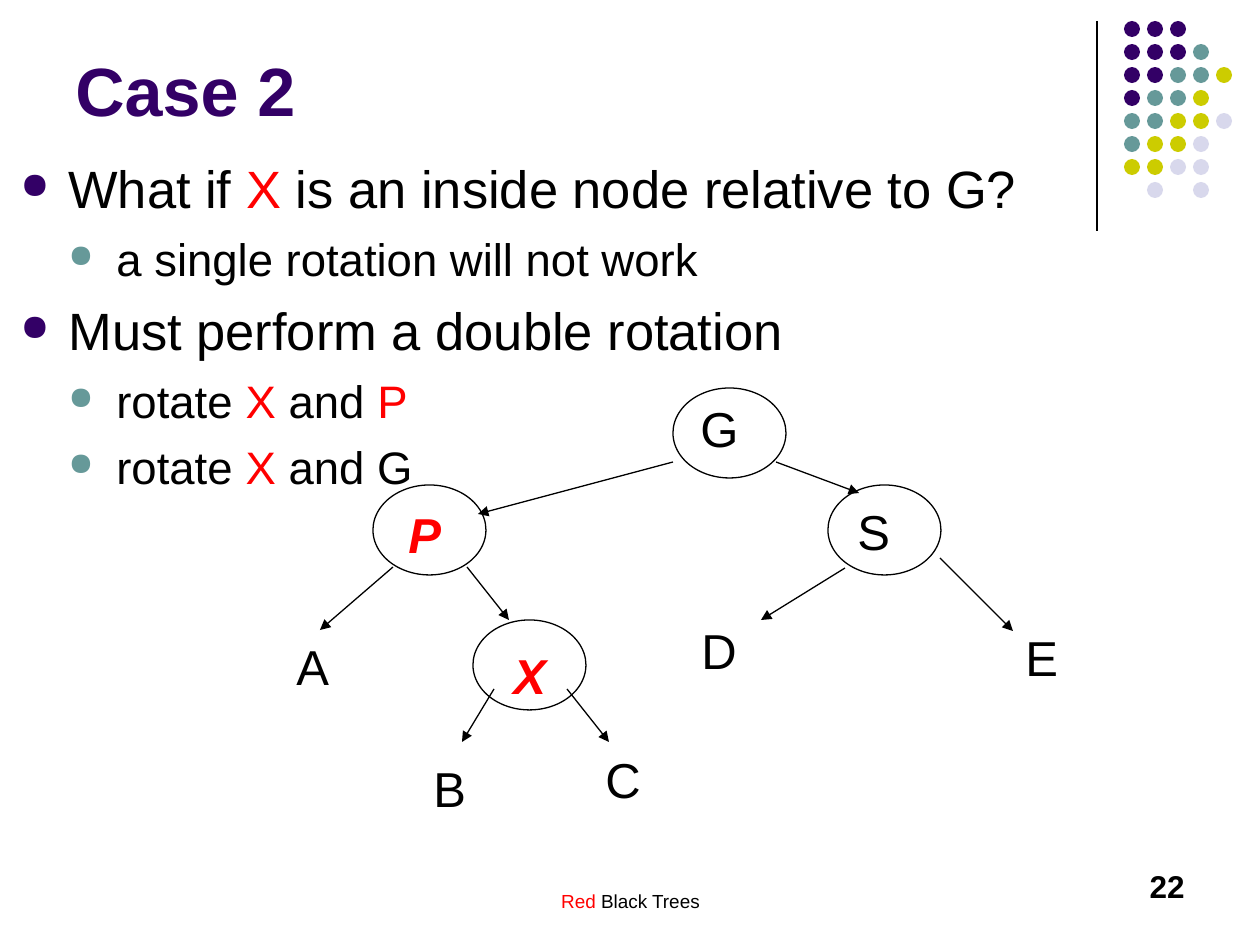
from lxml.etree import SubElement as sub
from pptx import Presentation
from pptx.dml.color import RGBColor
from pptx.enum.shapes import MSO_CONNECTOR as CONN, MSO_SHAPE as SHAPE
from pptx.enum.text import MSO_ANCHOR as ANCHOR, PP_ALIGN as ALIGN
from pptx.oxml.ns import qn
from pptx.util import Emu, Pt

BLACK, RED, PURPLE, TEAL = "000000", "FF0000", "330066", "669999"
TINTS = {"p": PURPLE, "t": TEAL, "y": "CCCC00", "l": "D8D8EC"}
DOTS = ["ppp", "pppt", "pptty", "ptty", "ttyyl", "tyyl", "yyll", " l l"]

# Each level: text size, space before, bullet colour
LEVELS = [(30, 7.5, PURPLE), (26, 6.5, TEAL)]
BODY = [
    (0, [("What if ", BLACK), ("X", RED),
         (" is an inside node relative to G?", BLACK)]),
    (1, [("a single rotation will not work", BLACK)]),
    (0, [("Must perform a double rotation", BLACK)]),
    (1, [("rotate ", BLACK), ("X", RED), (" and ", BLACK), ("P", RED)]),
    (1, [("rotate ", BLACK), ("X", RED), (" and G", BLACK)]),
]

NODES = [(673, 388), (373, 485), (828, 485), (473, 620)]
KEYS = {"G": (688, 392), "S": (845, 495), "A": (284, 630), "B": (421, 752),
        "C": (593, 743), "D": (689, 614), "E": (1013, 621)}
RED_KEYS = {"P": (396, 498), "X": (501, 639)}
EDGES = [
    (673, 462, 478, 514), (776, 462, 859, 493),
    (393, 567, 320, 630), (467, 567, 509, 620),
    (845, 568, 761, 620), (940, 558, 1013, 631),
    (494, 689, 462, 742), (567, 689, 609, 742),
]


def px(*nums):
    return [Emu(round(n * 914400 / 126)) for n in nums]


def rgb(code):
    return RGBColor.from_string(code)


def style(font, color, **form):
    font.color.rgb = rgb(color)
    for name, value in {"name": "Arial", **form}.items():
        setattr(font, name, value)


def add_runs(para, runs, **form):
    """Add (text, colour) pairs that share one format."""
    for text, color in runs:
        run = para.add_run()
        run.text = text
        style(run.font, color, **form)


def add_box(slide, at, wrap=True, anchor=ANCHOR.TOP):
    frame = slide.shapes.add_textbox(*px(*at)).text_frame
    frame.word_wrap = wrap
    frame.vertical_anchor = anchor
    return frame


def add_text(slide, at, runs, align=ALIGN.LEFT, wrap=True,
             anchor=ANCHOR.TOP, **form):
    para = add_box(slide, at, wrap, anchor).paragraphs[0]
    para.alignment = align
    add_runs(para, runs, **form)


def add_oval(slide, at, fill=None):
    """Draw a filled dot, or an outlined node when there is no fill."""
    oval = slide.shapes.add_shape(SHAPE.OVAL, *px(*at))
    oval.shadow.inherit = False
    if fill:
        oval.fill.solid()
        oval.fill.fore_color.rgb = rgb(fill)
        oval.line.fill.background()
    else:
        oval.fill.background()
        oval.line.color.rgb = rgb(BLACK)
        oval.line.width = Pt(0.75)


def add_line(slide, ends, arrow=False):
    line = slide.shapes.add_connector(CONN.STRAIGHT, *px(*ends))
    line.line.color.rgb = rgb(BLACK)
    line.line.width = Pt(0.75)
    props = line.element.spPr
    if arrow:
        sub(props.find(qn("a:ln")), qn("a:tailEnd"), type="triangle")
    sub(props, qn("a:effectLst"))


def add_bullet(para, level, color):
    props = para._p.get_or_add_pPr()
    hang = px(48)[0]
    props.set("marL", str(hang * (level + 1)))
    props.set("indent", str(-hang))
    sub(sub(props, qn("a:buClr")), qn("a:srgbClr"), val=color)
    sub(props, qn("a:buSzPct"), val="70000")
    sub(props, qn("a:buChar"), char="●")


def add_body(slide):
    frame = add_box(slide, (8, 150, 1134, 607))
    for i, (level, runs) in enumerate(BODY):
        para = frame.add_paragraph() if i else frame.paragraphs[0]
        size, gap, color = LEVELS[level]
        para.level = level
        add_bullet(para, level, color)
        if i:
            para.space_before = Pt(gap)
        add_runs(para, runs, size=Pt(size))


def add_dots(slide):
    for row, marks in enumerate(DOTS):
        for col, mark in enumerate(marks):
            if mark in TINTS:
                at = (1124 + 23 * col, 21 + 23 * row, 16, 16)
                add_oval(slide, at, TINTS[mark])


def add_tree(slide):
    for spot in NODES:
        add_oval(slide, (*spot, 113, 90))
    for ends in EDGES:
        add_line(slide, ends, arrow=True)
    for keys, color, bold in ((KEYS, BLACK, False), (RED_KEYS, RED, True)):
        for key, spot in keys.items():
            add_text(slide, (*spot, 60, 72), [(key, color)], wrap=False,
                     size=Pt(28), bold=bold, italic=bold)


def main():
    deck = Presentation()
    deck.slide_width, deck.slide_height = px(1260, 945)
    slide = deck.slides.add_slide(deck.slide_layouts[6])
    add_line(slide, (1097, 21, 1097, 231))
    add_dots(slide)
    add_text(slide, (431, 883, 399, 41),
             [("Red", RED), (" Black Trees", BLACK)],
             align=ALIGN.CENTER, size=Pt(10.8))
    add_text(slide, (903, 861, 294, 63), [("22", BLACK)],
             align=ALIGN.RIGHT, size=Pt(18), bold=True)
    add_text(slide, (63, 16, 1008, 120), [("Case 2", PURPLE)],
             anchor=ANCHOR.BOTTOM, size=Pt(39), bold=True)
    add_body(slide)
    add_tree(slide)
    deck.save("out.pptx")


if __name__ == "__main__":
    main()
